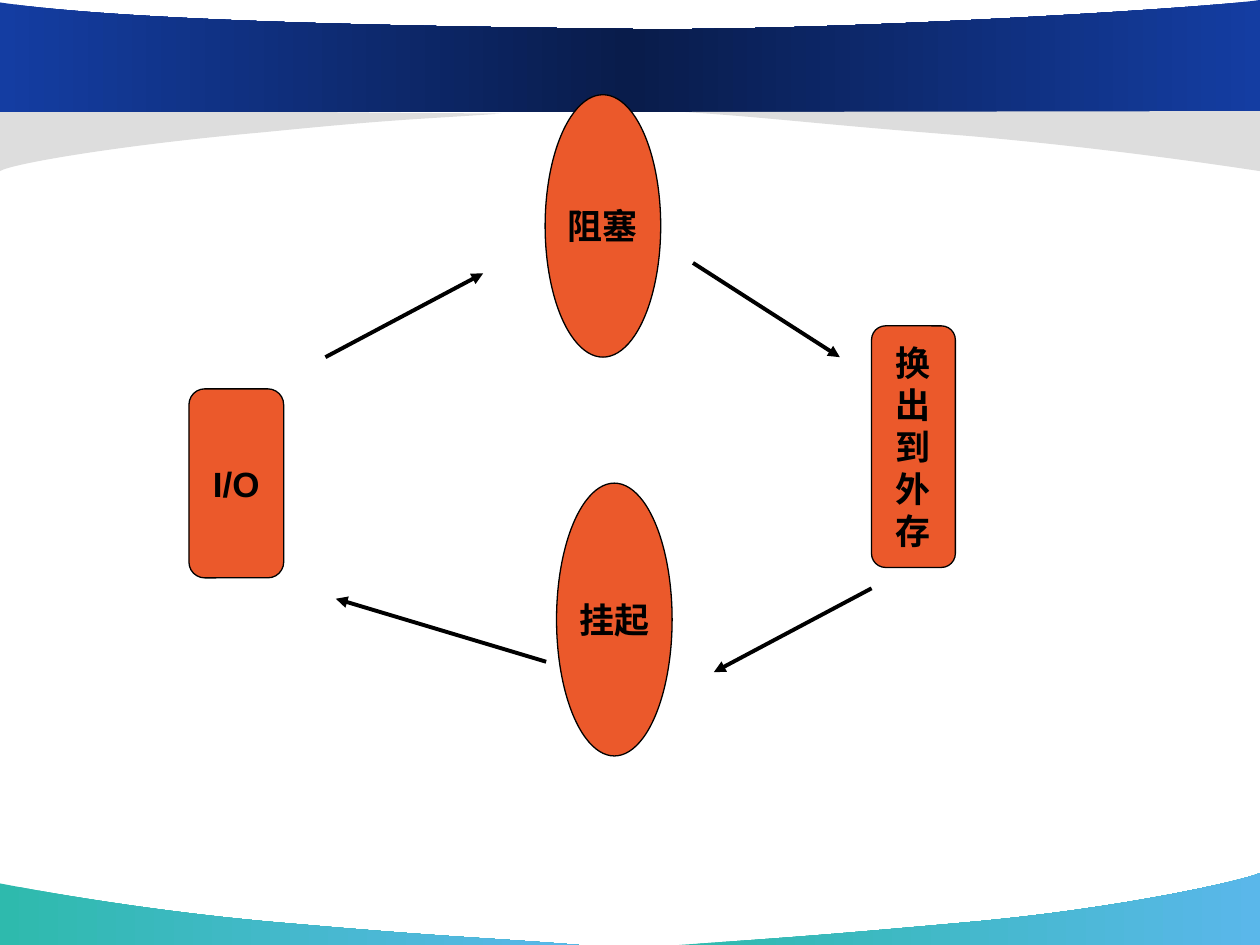
from lxml import etree
from pptx import Presentation
from pptx.dml.color import RGBColor
from pptx.enum.shapes import MSO_CONNECTOR, MSO_SHAPE
from pptx.enum.text import MSO_ANCHOR, PP_ALIGN
from pptx.oxml.ns import qn
from pptx.util import Cm, Pt

STRAIGHT = MSO_CONNECTOR.STRAIGHT
OVAL, ROUNDED = MSO_SHAPE.OVAL, MSO_SHAPE.ROUNDED_RECTANGLE
MIDDLE, CENTER = MSO_ANCHOR.MIDDLE, PP_ALIGN.CENTER

COLORS = {
    "node": "EB592B",
    "ink": "000000",
    "wing": "DDDDDD",
    "band_edge": "143DA2",
    "band_center": "091C4B",
    "teal": "2EBAAD",
    "sky": "5AB7EA",
}
FONT = "Arial"
WIDTH, HEIGHT = 25.4, 19.05


def rgb(name):
    """Return the named colour."""
    return RGBColor.from_string(COLORS[name])


def paint(shape, names):
    """Fill a shape with one colour or an even horizontal gradient."""
    if len(names) == 1:
        shape.fill.solid()
        shape.fill.fore_color.rgb = rgb(names[0])
        return
    shape.fill.gradient()
    shape.fill.gradient_angle = 0
    stops = shape._element.spPr.find(qn("a:gradFill")).find(qn("a:gsLst"))
    for stop in list(stops):
        stops.remove(stop)
    for index, name in enumerate(names):
        position = str(100000 * index // (len(names) - 1))
        stop = etree.SubElement(stops, qn("a:gs"), pos=position)
        etree.SubElement(stop, qn("a:srgbClr"), val=COLORS[name])


def bend(swoosh, curves):
    """Turn the first straight segments of an outline into cubic curves."""
    segments = list(swoosh._element.iter(qn("a:lnTo")))
    for segment, points in zip(segments, curves):
        cubic = etree.Element(qn("a:cubicBezTo"))
        for x, y in points:
            etree.SubElement(cubic, qn("a:pt"),
                             x=str(x - swoosh.left), y=str(y - swoosh.top))
        segment.getparent().replace(segment, cubic)


def move_to_master(page, shape):
    """Hand a decoration over to the slide master."""
    tree = page.slide_layout.slide_master.shapes._spTree
    shape._element.nvSpPr.cNvPr.set("id", str(len(tree)))
    tree.append(shape._element)


def add_swoosh(page, box, curve, corners, names):
    """Draw an outline of two joined curves closed through straight corners."""
    left, top = box
    places = [(Cm(left + x), Cm(top + y)) for x, y in curve + corners]
    builder = page.shapes.build_freeform(*places[0], scale=1.0)
    builder.add_line_segments([places[3]] + places[6:], close=True)
    swoosh = builder.convert_to_shape()
    bend(swoosh, (places[1:4], places[4:7]))
    swoosh.shadow.inherit = False
    swoosh.line.fill.background()
    paint(swoosh, names)
    move_to_master(page, swoosh)


def add_footer(page, box):
    """Draw the two coloured waves along the foot of the page."""
    gradient = ("teal", "sky")
    add_swoosh(page, box, [(11.68, 1.45), (9.75, 1.3), (9.09, 1.3), (5.89, 1.02),
                           (2.69, 0.76), (0.03, 0.21), (0, 0.21)],
               [(0, 1.45)], gradient)
    add_swoosh(page, box, [(13.69, 1.45), (15.6, 1.32), (16.41, 1.27), (19.53, 0.99),
                           (22.66, 0.71), (25.15, 0.13), (WIDTH, 0)],
               [(WIDTH, 1.45)], gradient)


def add_header(page, box):
    """Draw the blue band and the grey wings below it."""
    add_swoosh(page, box, [(10.11, 2.29), (8.41, 2.41), (8.08, 2.39), (5.28, 2.67),
                           (2.46, 2.92), (0.23, 3.3), (0, 3.45)],
               [(0, 2.21)], ("wing",))
    add_swoosh(page, box, [(WIDTH, 0), (24.49, 0.15), (16.59, 0.66), (12.37, 0.58),
                           (8.15, 0.53), (2.57, 0.43), (0, 0.05)],
               [(0, 2.26), (WIDTH, 2.26)], ("band_edge", "band_center", "band_edge"))
    add_swoosh(page, box, [(13.82, 2.26), (15.75, 2.39), (16.31, 2.49), (19.51, 2.74),
                           (22.71, 3.02), (25.37, 3.45), (WIDTH, 3.45)],
               [(WIDTH, 2.24)], ("wing",))


def add_node(page, kind, box, text):
    """Draw one labelled state or action."""
    node = page.shapes.add_shape(kind, *map(Cm, box))
    node.shadow.inherit = False
    paint(node, ("node",))
    node.line.color.rgb = rgb("ink")
    node.line.width = Pt(0.75)
    frame = node.text_frame
    frame.word_wrap = False
    frame.vertical_anchor = MIDDLE
    frame.text = text
    for para in frame.paragraphs:
        para.alignment = CENTER
        for span in para.runs:
            span.font.name = FONT
            span.font.size = Pt(20)
            span.font.bold = True
            span.font.color.rgb = rgb("ink")


def add_arrow(page, start, end):
    """Draw a line with a triangular head at its end."""
    arrow = page.shapes.add_connector(STRAIGHT, *map(Cm, start + end))
    arrow.line.color.rgb = rgb("ink")
    arrow.line.width = Pt(2.25)
    etree.SubElement(arrow.line._get_or_add_ln(), qn("a:tailEnd"), type="triangle")
    etree.SubElement(arrow._element.spPr, qn("a:effectLst"))


def add_cycle(page, box):
    """Draw the cycle of states and the arrows between them."""
    left, top = box
    nodes = [
        (OVAL, (7.18, 0, 2.33, 5.29), "阻塞"),
        (OVAL, (7.41, 7.83, 2.33, 5.5), "挂起"),
        (ROUNDED, (0, 5.93, 1.91, 3.81), "I/O"),
        (ROUNDED, (13.76, 4.66, 1.69, 4.87), "\n".join("换出到外存")),
    ]
    arrows = [
        ((2.75, 5.29), (5.93, 3.6)),
        ((10.16, 3.39), (13.12, 5.29)),
        ((13.76, 9.95), (10.58, 11.64)),
        ((7.2, 11.43), (2.96, 10.16)),
    ]
    for kind, (x, y, width, height), text in nodes:
        add_node(page, kind, (left + x, top + y, width, height), text)
    for ends in arrows:
        add_arrow(page, *((left + x, top + y) for x, y in ends))


def main():
    """Build and save the deck."""
    deck = Presentation()
    deck.slide_width, deck.slide_height = Cm(WIDTH), Cm(HEIGHT)
    page = deck.slides.add_slide(deck.slide_layouts[6])
    add_footer(page, (0, 17.6))
    add_header(page, (0, 0))
    add_cycle(page, (3.81, 1.91))
    deck.save("out.pptx")


if __name__ == "__main__":
    main()
